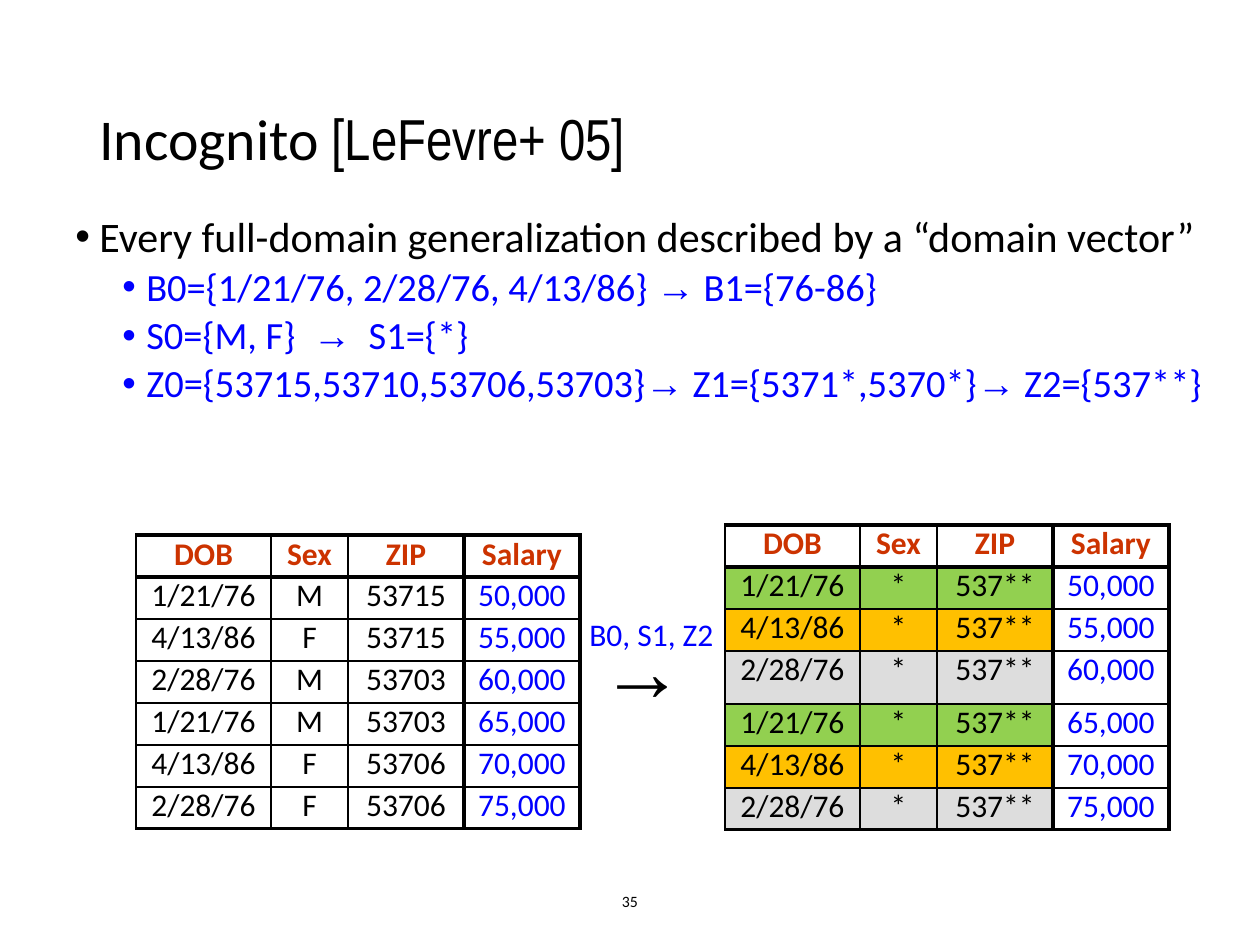
from lxml import etree
from pptx import Presentation
from pptx import util as u
from pptx.dml.color import RGBColor
from pptx.enum import text
from pptx.oxml import ns

BLACK = RGBColor(0x00, 0x00, 0x00)
BLUE = RGBColor(0x00, 0x00, 0xFF)
RED = RGBColor(0xCC, 0x33, 0x00)
GREEN = RGBColor(0x92, 0xD0, 0x50)
GOLD = RGBColor(0xFF, 0xC0, 0x00)
GREY = RGBColor(0xDD, 0xDD, 0xDD)
PX = 914400 / 126
MAIN, ARROW, NARROW = "Calibri", "Arial", "Arial Narrow"


def px(*nums):
    return [u.Emu(round(n * PX)) for n in nums]


def write(par, runs, size, color, bold=False):
    """Fill a paragraph with (words, font name) runs of one size and colour."""
    par.font.size = u.Pt(size)
    par.font.color.rgb = color
    par.font.bold = bold
    if len({name for _, name in runs}) == 1:
        par.font.name = runs[0][1]
    for words, name in runs:
        run = par.add_run()
        run.text = words
        if par.font.name is None:
            run.font.name = name


deck = Presentation()
deck.slide_width, deck.slide_height = px(1260, 945)
slide = deck.slides.add_slide(deck.slide_layouts[6])
add_box = slide.shapes.add_textbox

# Page number
frame = add_box(*px(417, 876, 426, 50)).text_frame
frame.word_wrap = True
frame.vertical_anchor = text.MSO_ANCHOR.MIDDLE
frame.paragraphs[0].alignment = text.PP_ALIGN.CENTER
write(frame.paragraphs[0], [("35", MAIN)], 9, BLACK)

# Title
frame = add_box(*px(87, 50, 1086, 183)).text_frame
frame.word_wrap = True
frame.vertical_anchor = text.MSO_ANCHOR.MIDDLE
frame.paragraphs[0].line_spacing = 0.9
write(frame.paragraphs[0],
      [("Incognito ", MAIN), ("[LeFevre+ 05]", NARROW)], 33, BLACK)

# Bullets: level and runs
points = [
    (0, [("Every full-domain generalization described by a “domain vector”", MAIN)]),
    (1, [("B0={1/21/76, 2/28/76, 4/13/86} ", MAIN), ("→", ARROW),
         (" B1={76-86}", MAIN)]),
    (1, [("S0={M, F}  ", MAIN), ("→", ARROW), ("  S1={*}", MAIN)]),
    (1, [("Z0={53715,53710,53706,53703}", MAIN), ("→", ARROW),
         (" Z1={5371*,5370*}", MAIN), ("→", ARROW), (" Z2={537**}", MAIN)]),
]
frame = add_box(*px(63, 210, 1197, 683)).text_frame
frame.word_wrap = True
for i, (level, runs) in enumerate(points):
    par = frame.add_paragraph() if i else frame.paragraphs[0]
    par.level = level
    par.line_spacing = 0.9
    if i:
        par.space_before = u.Pt(3.8)
    props = par._p.get_or_add_pPr()
    left, hang = px(24 + 47 * level, 24)
    props.set("marL", str(left))
    props.set("indent", str(-hang))
    etree.SubElement(props, ns.qn("a:buFont")).set("typeface", "Arial")
    etree.SubElement(props, ns.qn("a:buChar")).set("char", "•")
    write(par, runs, 22 if level else 24, BLUE if level else BLACK)

# Tables before and after generalization
head = ["DOB", "Sex", "ZIP", "Salary"]
births = ["1/21/76", "4/13/86", "2/28/76"] * 2
sexes = ["M", "F", "M", "M", "F", "F"]
zips = ["53715", "53715", "53703", "53703", "53706", "53706"]
pay = ["50,000", "55,000", "60,000", "65,000", "70,000", "75,000"]
raw = [head, *zip(births, sexes, zips, pay)]
masked = [head, *zip(births, ["*"] * 6, ["537**"] * 6, pay)]
tints = [GREEN, GOLD, GREY]
widths = [135, 77, 116, 116]
tables = [
    (136, 535, raw, [42] * 7, False),
    (725, 525, masked, [42, 42, 42, 53, 42, 42, 42], True),
]
THIN, EDGE, THICK = 1, 2.25, 3

for x, y, rows, heights, tinted in tables:
    grid = slide.shapes.add_table(
        7, 4, *px(x, y, sum(widths), sum(heights))).table
    grid.first_row = grid.horz_banding = False
    for col, width in zip(grid.columns, px(*widths)):
        col.width = width
    for row, height in zip(grid.rows, px(*heights)):
        row.height = height
    for r, row in enumerate(rows):
        for c, words in enumerate(row):
            cell = grid.cell(r, c)
            cell.margin_left = cell.margin_right = px(6)[0]
            cell.margin_top = cell.margin_bottom = 0
            par = cell.text_frame.paragraphs[0]
            par.alignment = text.PP_ALIGN.CENTER
            color = RED if r == 0 else BLUE if c == 3 else BLACK
            write(par, [(words, MAIN)], 18, color, r == 0)
            sides = {
                "L": THICK if c == 3 else THIN,
                "R": {2: THICK, 3: EDGE}.get(c, THIN),
                "T": {0: EDGE, 1: THICK}.get(r, THIN),
                "B": {0: THICK, 6: EDGE}.get(r, THIN),
            }
            props = cell._tc.get_or_add_tcPr()
            for side, weight in sides.items():
                line = etree.SubElement(props, ns.qn("a:ln" + side))
                line.set("w", str(u.Pt(weight)))
                fill = etree.SubElement(line, ns.qn("a:solidFill"))
                etree.SubElement(fill, ns.qn("a:srgbClr")).set("val", str(BLACK))
            if tinted and r and c < 3:
                cell.fill.solid()
                cell.fill.fore_color.rgb = tints[(r - 1) % 3]
            else:
                cell.fill.background()

# Arrow between the tables and its label
labels = [
    ((588, 611, 110, 113), "→", ARROW, 48, BLACK, True),
    ((577, 609, 150, 50), "B0, S1, Z2", MAIN, 18, BLUE, False),
]
for place, words, name, size, color, bold in labels:
    frame = add_box(*px(*place)).text_frame
    frame.word_wrap = False
    frame.auto_size = text.MSO_AUTO_SIZE.SHAPE_TO_FIT_TEXT
    write(frame.paragraphs[0], [(words, name)], size, color, bold)

deck.save("out.pptx")
